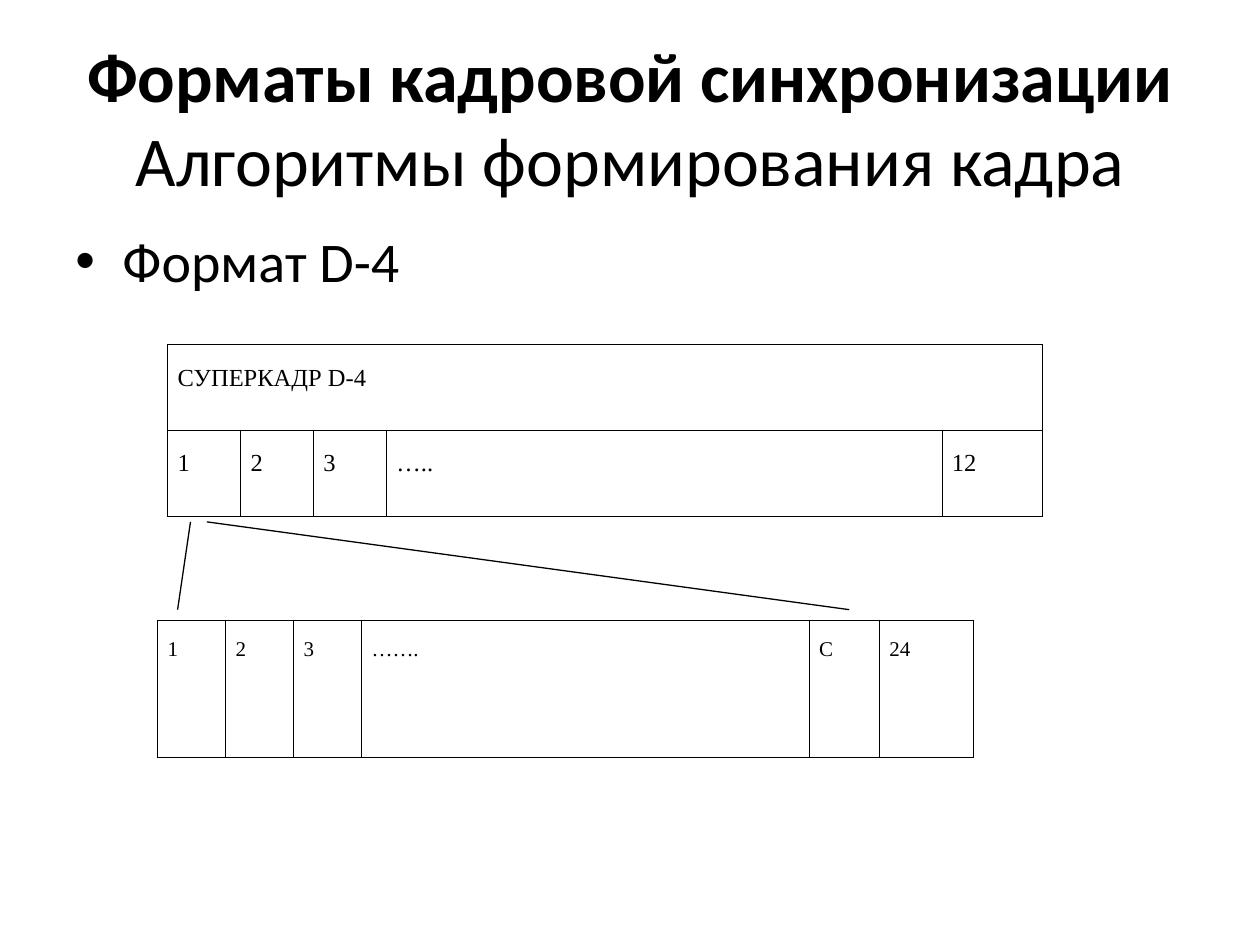
from dataclasses import dataclass

from lxml import etree
from pptx import Presentation
from pptx.dml.color import RGBColor
from pptx.enum.shapes import MSO_CONNECTOR
from pptx.enum.text import MSO_ANCHOR, PP_ALIGN
from pptx.oxml.ns import qn
from pptx.slide import Slide
from pptx.util import Cm, Pt

BLACK = RGBColor(0x00, 0x00, 0x00)
HEADING_FONT = "Calibri"
TABLE_FONT = "Times New Roman"
STRAIGHT = MSO_CONNECTOR.STRAIGHT
MIDDLE, TOP = MSO_ANCHOR.MIDDLE, MSO_ANCHOR.TOP
CENTER, LEFT, JUSTIFY = PP_ALIGN.CENTER, PP_ALIGN.LEFT, PP_ALIGN.JUSTIFY


@dataclass
class FrameTable:
    left: float
    top: float
    widths: list[float]
    row_height: float
    size: int
    rows: list[list[str]]  # a row with a single text spans all columns


@dataclass
class Ray:
    start: tuple[float, float]
    end: tuple[float, float]


SUPERFRAME = FrameTable(3.38, 6.94, [1.47, 1.47, 1.47, 11.2, 2.03], 1.73, 14,
                        [["СУПЕРКАДР D-4"], ["1", "2", "3", "…..", "12"]])
FRAME = FrameTable(3.18, 12.5, [1.37, 1.37, 1.37, 9.02, 1.42, 1.9], 2.77, 12,
                   [["1", "2", "3", "…….", "C", "24"]])
RAYS = [Ray((3.84, 10.52), (3.58, 12.29)), Ray((4.17, 10.52), (17.12, 12.29))]


def add_span(para, text: str, font: str, size: int, bold: bool = False) -> None:
    span = para.add_run()
    span.text = text
    span.font.name = font
    span.font.size = Pt(size)
    span.font.bold = bold
    span.font.color.rgb = BLACK


def add_borders(cell) -> None:
    properties = cell._tc.get_or_add_tcPr()
    for position, side in enumerate(("lnL", "lnR", "lnT", "lnB")):
        line = etree.Element(qn(f"a:{side}"), w=str(Pt(0.45)))
        fill = etree.SubElement(line, qn("a:solidFill"))
        etree.SubElement(fill, qn("a:srgbClr"), val=str(BLACK))
        properties.insert(position, line)


def fill_cell(cell, text: str, size: int) -> None:
    cell.margin_left = cell.margin_right = Cm(0.2)
    cell.margin_top = cell.margin_bottom = Cm(0.13)
    cell.vertical_anchor = TOP
    para = cell.text_frame.paragraphs[0]
    para.alignment = JUSTIFY
    para.line_spacing = 1.5
    add_span(para, text, TABLE_FONT, size)


def draw_table(page: Slide, item: FrameTable) -> None:
    count = len(item.widths)
    table = page.shapes.add_table(
        len(item.rows), count, Cm(item.left), Cm(item.top),
        Cm(sum(item.widths)), Cm(item.row_height * len(item.rows))).table
    table.first_row = table.horz_banding = False
    for column, width in zip(table.columns, item.widths):
        column.width = Cm(width)
    for row, texts in enumerate(item.rows):
        table.rows[row].height = Cm(item.row_height)
        for column in range(count):
            cell = table.cell(row, column)
            cell.fill.background()
            add_borders(cell)
        if len(texts) == 1:
            table.cell(row, 0).merge(table.cell(row, count - 1))
        for column, text in enumerate(texts):
            fill_cell(table.cell(row, column), text, item.size)


def draw_ray(page: Slide, ray: Ray) -> None:
    ends = [Cm(value) for value in ray.start + ray.end]
    line = page.shapes.add_connector(STRAIGHT, *ends)
    line.line.color.rgb = BLACK
    line.line.width = Pt(0.75)
    etree.SubElement(line._element.spPr, qn("a:effectLst"))


def draw_title(page: Slide) -> None:
    title = page.shapes.title
    title.left, title.top = Cm(1.27), Cm(0.76)
    title.width, title.height = Cm(22.86), Cm(3.18)
    title.text_frame.vertical_anchor = MIDDLE
    para = title.text_frame.paragraphs[0]
    para.alignment = CENTER
    add_span(para, "Форматы кадровой синхронизации", HEADING_FONT, 40, bold=True)
    para.add_line_break()
    add_span(para, "Алгоритмы формирования кадра", HEADING_FONT, 40)


def draw_bullet(page: Slide) -> None:
    box = page.shapes.add_textbox(Cm(1.27), Cm(4.45), Cm(22.86), Cm(2.1))
    box.text_frame.word_wrap = True
    para = box.text_frame.paragraphs[0]
    para.alignment = LEFT
    properties = para._p.get_or_add_pPr()
    properties.set("marL", str(Cm(0.95)))
    properties.set("indent", str(-Cm(0.95)))
    color = etree.SubElement(properties, qn("a:buClr"))
    etree.SubElement(color, qn("a:srgbClr"), val=str(BLACK))
    etree.SubElement(properties, qn("a:buFont"), typeface="Arial")
    etree.SubElement(properties, qn("a:buChar"), char="•")
    add_span(para, "Формат D-4", HEADING_FONT, 32)


def main() -> None:
    deck = Presentation()
    deck.slide_width, deck.slide_height = Cm(25.4), Cm(19.05)
    page = deck.slides.add_slide(deck.slide_layouts[5])

    # Heading and format name
    draw_title(page)
    draw_bullet(page)

    # Superframe and the structure of one of its frames
    for item in (SUPERFRAME, FRAME):
        draw_table(page, item)

    # Lines expanding the first frame
    for ray in RAYS:
        draw_ray(page, ray)

    deck.save("out.pptx")


if __name__ == "__main__":
    main()
